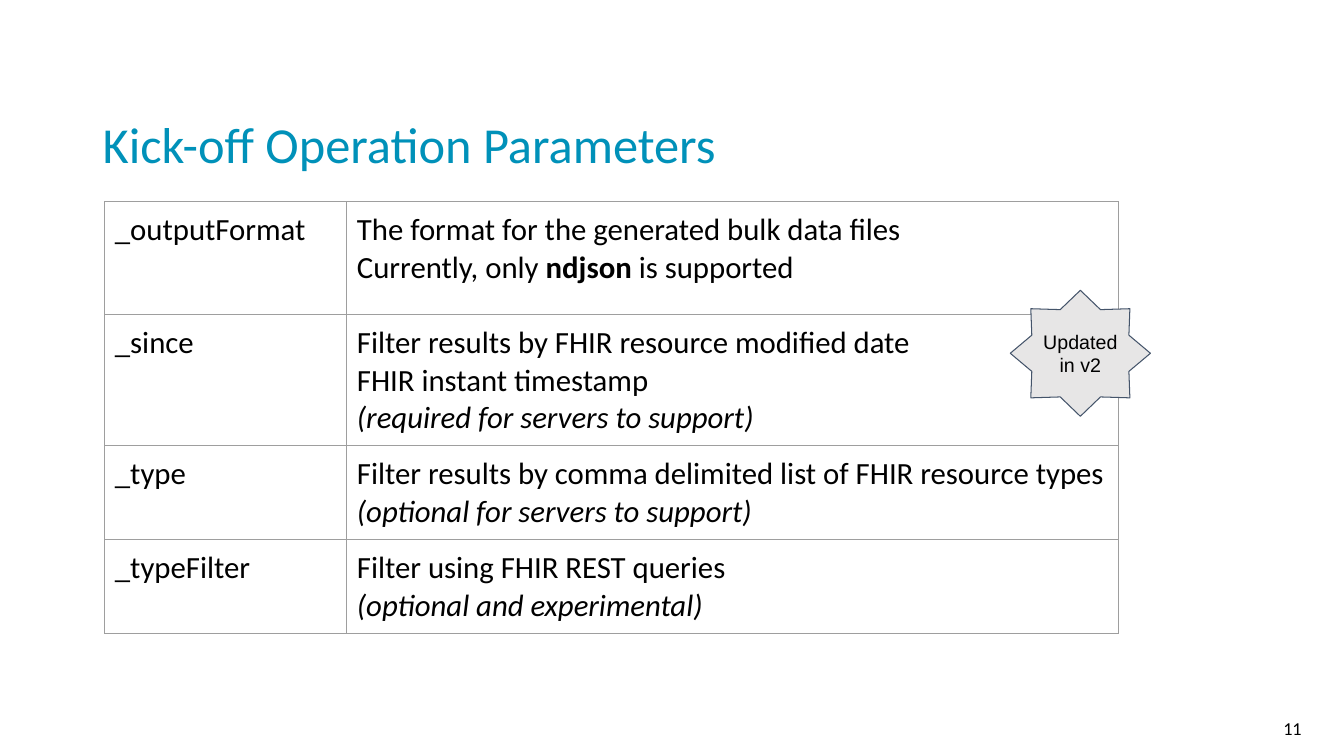
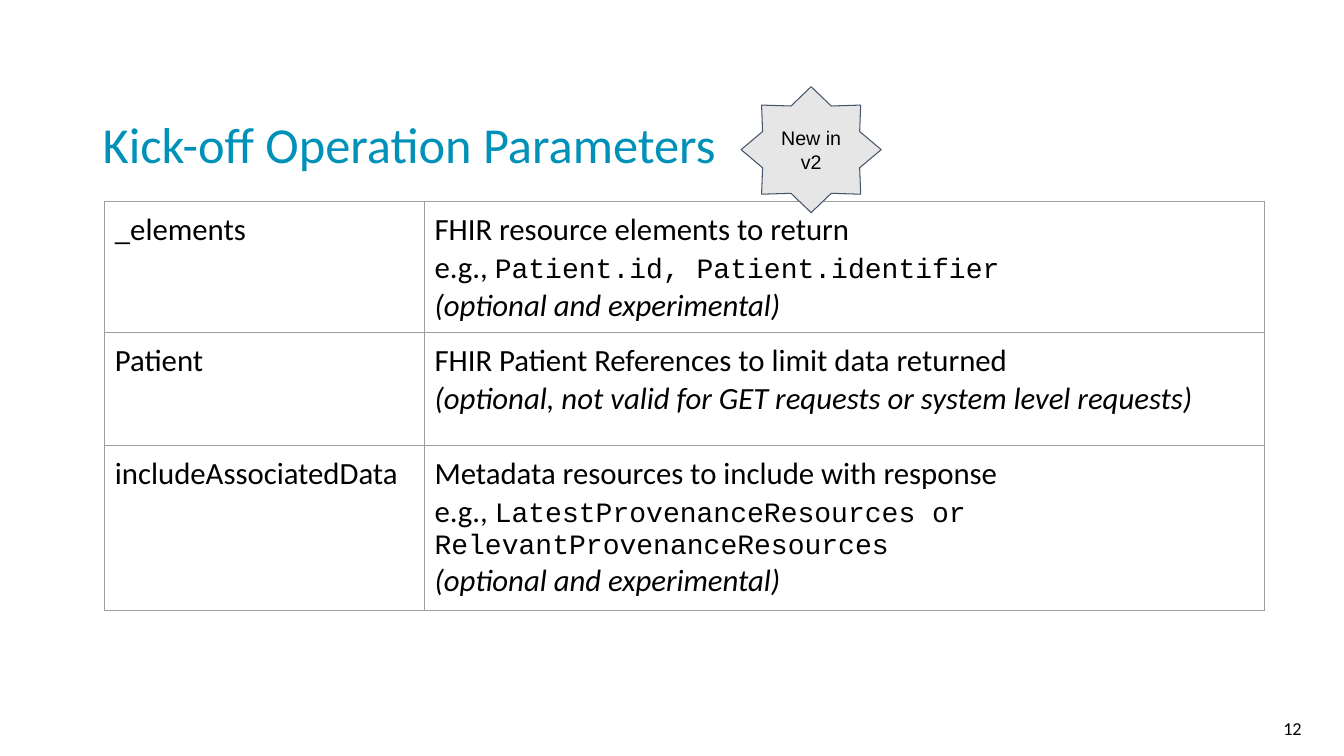
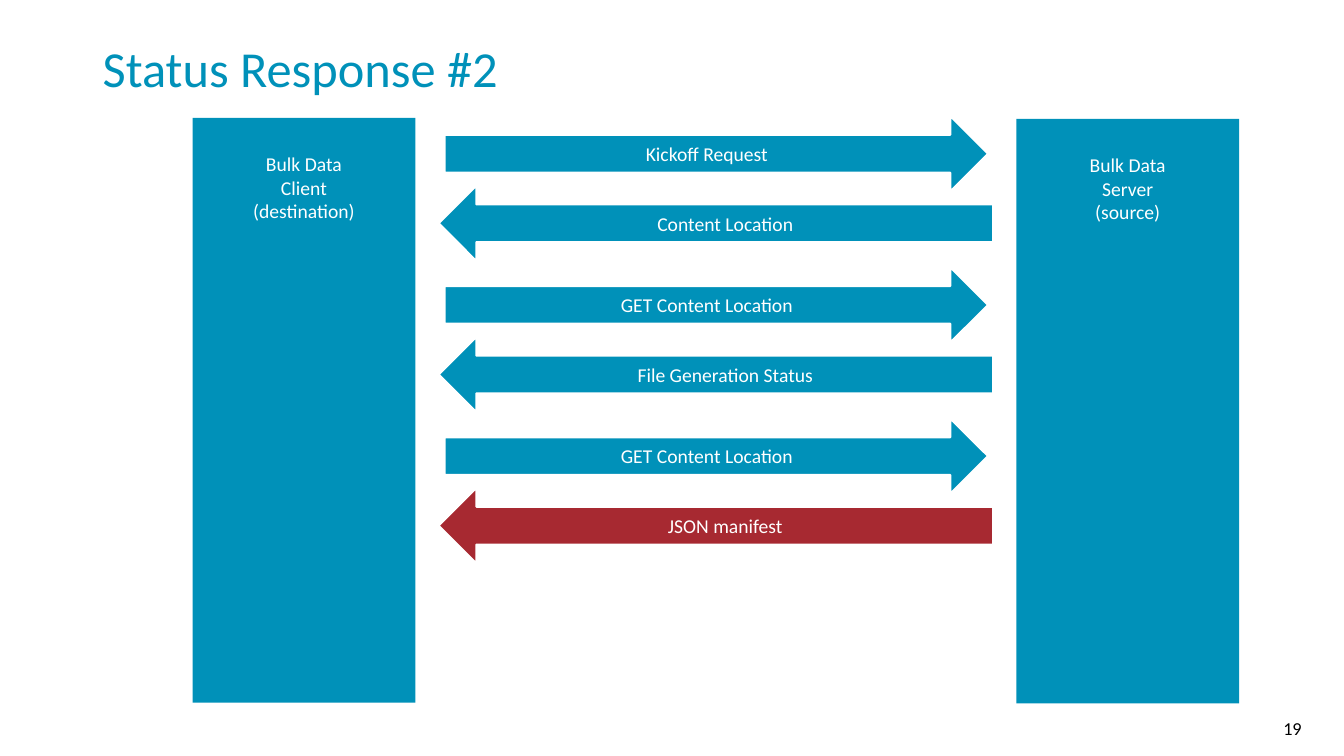
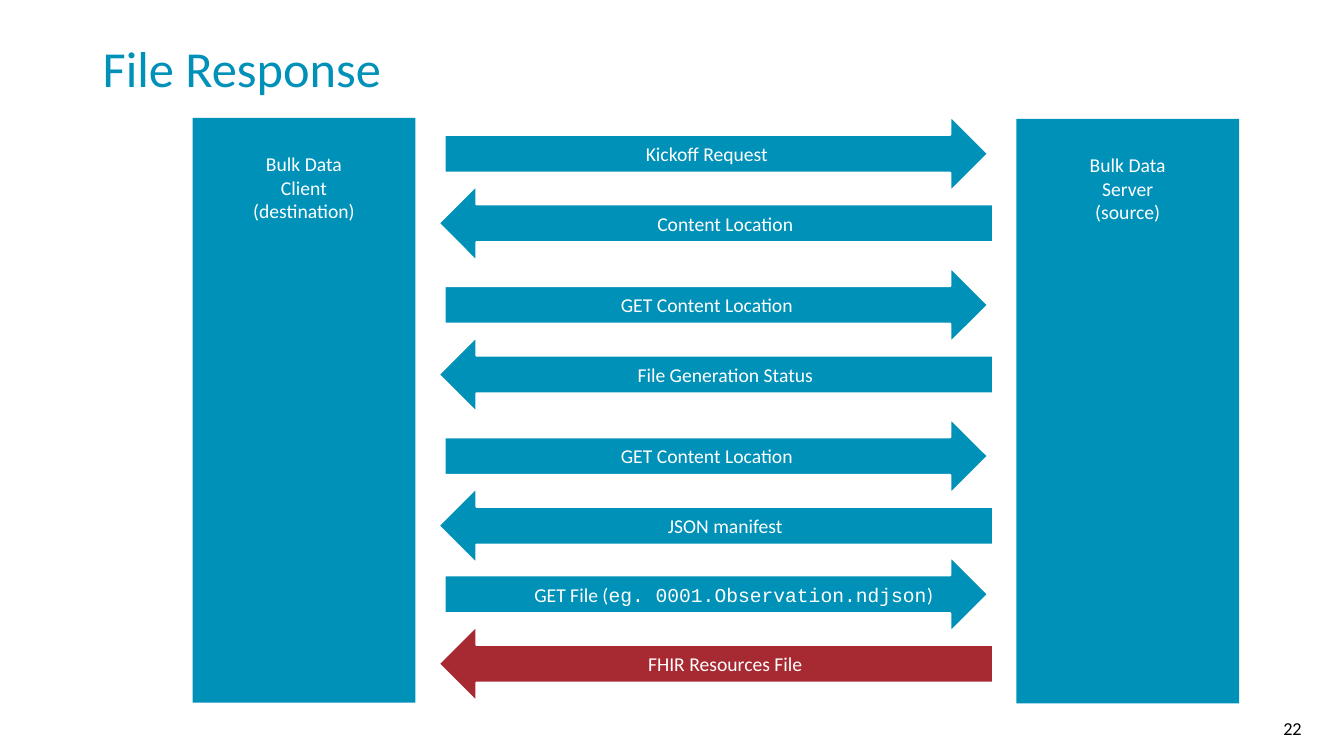
import lxml.etree
import pptx
import pptx.dml.color
import pptx.enum.shapes
import pptx.enum.text
import pptx.oxml.ns
import pptx.util

SCALE = 9144  # EMU in one px, 100 px to the inch
WIDE, HIGH = 1333, 750
PAD = 10

HUES = {
    "blue": "0091B9", "red": "A72931", "black": "000000", "white": "FFFFFF",
    "grey": "E7E6E6", "slate": "44546A", "rule": "9E9E9E",
}
SANS, MONO, BADGE = "Calibri", "Courier New", "Arial"
FORMS = pptx.enum.shapes.MSO_SHAPE
ALIGN = pptx.enum.text.PP_ALIGN
ANCHOR = pptx.enum.text.MSO_ANCHOR

# Run styles for table cells
PLAIN = {"face": SANS, "size": 22}
BOLD = {**PLAIN, "bold": True}
SLOPE = {**PLAIN, "slant": True}
CODE = {"face": MONO, "size": 20}
# Run styles for shapes
LABEL = {"face": SANS, "size": 14, "hue": "white"}
FILE = {**LABEL, "face": MONO}
HEAD = {"face": SANS, "size": 36, "hue": "blue"}
FOOT = {"face": SANS, "size": 13}
NOTE = {"face": BADGE, "size": 14}


def px(num):
    return pptx.util.Emu(num * SCALE)


def tint(name):
    return pptx.dml.color.RGBColor.from_string(HUES[name])


# ---- Text ----
def add_run(para, text, face, size, hue="black", bold=False, slant=False):
    run = para.add_run()
    run.text = text
    font = run.font
    font.name, font.size = face, pptx.util.Pt(size)
    font.bold, font.italic = bold, slant
    font.color.rgb = tint(hue)


def fill_text(frame, lines, align=ALIGN.LEFT, space=None):
    """Each line is a list of (text, style) runs."""
    for num, line in enumerate(lines):
        para = frame.add_paragraph() if num else frame.paragraphs[0]
        para.alignment = align
        para.line_spacing = space
        for text, style in line:
            add_run(para, text, **style)


def set_pads(part, left=PAD, top=PAD, right=PAD, bottom=PAD):
    part.margin_left, part.margin_top = px(left), px(top)
    part.margin_right, part.margin_bottom = px(right), px(bottom)


def add_text(slide, box, lines, pads, anchor, **look):
    frame = slide.shapes.add_textbox(*map(px, box)).text_frame
    frame.word_wrap = True
    frame.vertical_anchor = anchor
    set_pads(frame, *pads)
    fill_text(frame, lines, **look)


# ---- Shapes ----
def add_form(slide, form, box, fill, lines, edge=None, width=0,
             anchor=ANCHOR.MIDDLE, pads=()):
    shape = slide.shapes.add_shape(form, *map(px, box))
    shape.shadow.inherit = False
    shape.fill.solid()
    shape.fill.fore_color.rgb = tint(fill)
    if edge:
        shape.line.color.rgb = tint(edge)
        shape.line.width = pptx.util.Pt(width)
    else:
        shape.line.fill.background()
    frame = shape.text_frame
    frame.word_wrap = True
    frame.vertical_anchor = anchor
    set_pads(frame, *pads)
    fill_text(frame, lines, ALIGN.CENTER)


def add_star(slide, left, top, text):
    add_form(slide, FORMS.STAR_8_POINT, (left, top, 139, 125), "grey",
             [[(text, NOTE)]], "slate", 0.75)


# ---- Table ----
def add_edges(cell):
    qn = pptx.oxml.ns.qn
    props = cell._tc.get_or_add_tcPr()
    for side in "LRTB":
        line = lxml.etree.SubElement(props, qn(f"a:ln{side}"), w="9525")
        solid = lxml.etree.SubElement(line, qn("a:solidFill"))
        lxml.etree.SubElement(solid, qn("a:srgbClr"), val=HUES["rule"])


def add_grid(slide, left, top, cols, rows):
    """Each row is (height, name, lines)."""
    high = sum(row[0] for row in rows)
    box = (left, top, sum(cols), high)
    table = slide.shapes.add_table(len(rows), 2, *map(px, box)).table
    table.first_row = table.horz_banding = False
    for col, wide in zip(table.columns, cols):
        col.width = px(wide)
    for num, (tall, name, lines) in enumerate(rows):
        table.rows[num].height = px(tall)
        for spot, body in enumerate(([[(name, PLAIN)]], lines)):
            cell = table.cell(num, spot)
            set_pads(cell)
            add_edges(cell)
            cell.fill.background()
            fill_text(cell.text_frame, body)


# ---- Message flow ----
def add_pillar(slide, box, words):
    add_form(slide, FORMS.RECTANGLE, box, "blue",
             [[(word, LABEL)] for word in words],
             anchor=ANCHOR.TOP, pads=(PAD, 34))


def add_flow(slide, box, steps):
    """Steps alternate: request to the right, reply to the left."""
    left, top, wide, high = box
    starts = (0, 150, 300, 437)
    for num, runs in enumerate(steps):
        pair, reply = divmod(num, 2)
        y = top - 2 + starts[pair] + 69 * reply
        if reply:
            form, spot = FORMS.LEFT_ARROW, (left + 244, y, 550, 75)
        else:
            form, spot = FORMS.RIGHT_ARROW, (left + 250, y, 539, 75)
        fill = "red" if num == len(steps) - 1 else "blue"
        # A label with several runs starts further in
        pads = (63,) if len(runs) > 1 else ()
        add_form(slide, form, spot, fill, [runs], "white", 1.5, pads=pads)
    add_pillar(slide, (left, top, 221, high),
               ("Bulk Data", "Client", "(destination)"))
    add_pillar(slide, (left + wide - 221, top + 1, 221, high),
               ("Bulk Data", "Server", "(source)"))


# ---- Slides ----
def add_slide(deck, title, top, page):
    slide = deck.slides.add_slide(deck.slide_layouts[6])
    add_text(slide, (1250, 710, 45, 24), [[(str(page), FOOT)]],
             (0, 0, 4, 0), ANCHOR.MIDDLE, align=ALIGN.RIGHT)
    add_text(slide, (92, top, 1150, 97), [[(title, HEAD)]],
             (10, 5, 10, 5), ANCHOR.TOP, space=0.9)
    return slide


def grid_slide(deck, page, cols, rows, star):
    slide = add_slide(deck, "Kick-off Operation Parameters", 114, page)
    add_grid(slide, 104, 200, cols, rows)
    add_star(slide, *star)


def flow_slide(deck, title, page, steps):
    slide = add_slide(deck, title, 39, page)
    add_flow(slide, (191, 117, 1038, 580), steps)


TRIAL = [("(optional and experimental)", SLOPE)]

FILTERS = [
    (112, "_outputFormat", [
        [("The format for the generated bulk data files", PLAIN)],
        [("Currently, only ", PLAIN), ("ndjson ", BOLD),
         ("is supported", PLAIN)]]),
    (112, "_since", [
        [("Filter results by FHIR resource modified date", PLAIN)],
        [("FHIR instant timestamp", PLAIN)],
        [("(required for servers to support)", SLOPE)]]),
    (77, "_type", [
        [("Filter results by comma delimited list of FHIR resource types",
          PLAIN)],
        [("(optional for servers to support)", SLOPE)]]),
    (77, "_typeFilter", [
        [("Filter using FHIR REST queries", PLAIN)], TRIAL]),
]

EXTRAS = [
    (112, "_elements", [
        [("FHIR resource elements to return", PLAIN)],
        [("e.g., ", PLAIN), ("Patient.id, Patient.identifier", CODE)],
        TRIAL]),
    (112, "Patient", [
        [("FHIR Patient References to limit data returned", PLAIN)],
        [("(optional, not valid for GET requests or system level requests)",
          SLOPE)]]),
    (77, "includeAssociatedData", [
        [("Metadata resources to include with response", PLAIN)],
        [("e.g., ", PLAIN),
         ("LatestProvenanceResources or RelevantProvenanceResources", CODE)],
        TRIAL]),
]

STEPS = [[(text, LABEL)] for text in (
    "Kickoff Request", "Content Location",
    "GET Content Location", "File Generation Status",
    "GET Content Location", "JSON manifest")]

FETCH = [
    [("GET File (", LABEL), ("eg. 0001.Observation.ndjson", FILE),
     (")", LABEL)],
    [("FHIR Resources File", LABEL)],
]


def main():
    deck = pptx.Presentation()
    deck.slide_width, deck.slide_height = px(WIDE), px(HIGH)
    grid_slide(deck, 11, (240, 765), FILTERS, (1002, 288, "Updated in v2"))
    grid_slide(deck, 12, (317, 833), EXTRAS, (735, 86, "New in v2"))
    flow_slide(deck, "Status Response #2", 19, STEPS)
    flow_slide(deck, "File Response", 22, STEPS + FETCH)
    deck.save("out.pptx")


if __name__ == "__main__":
    main()
